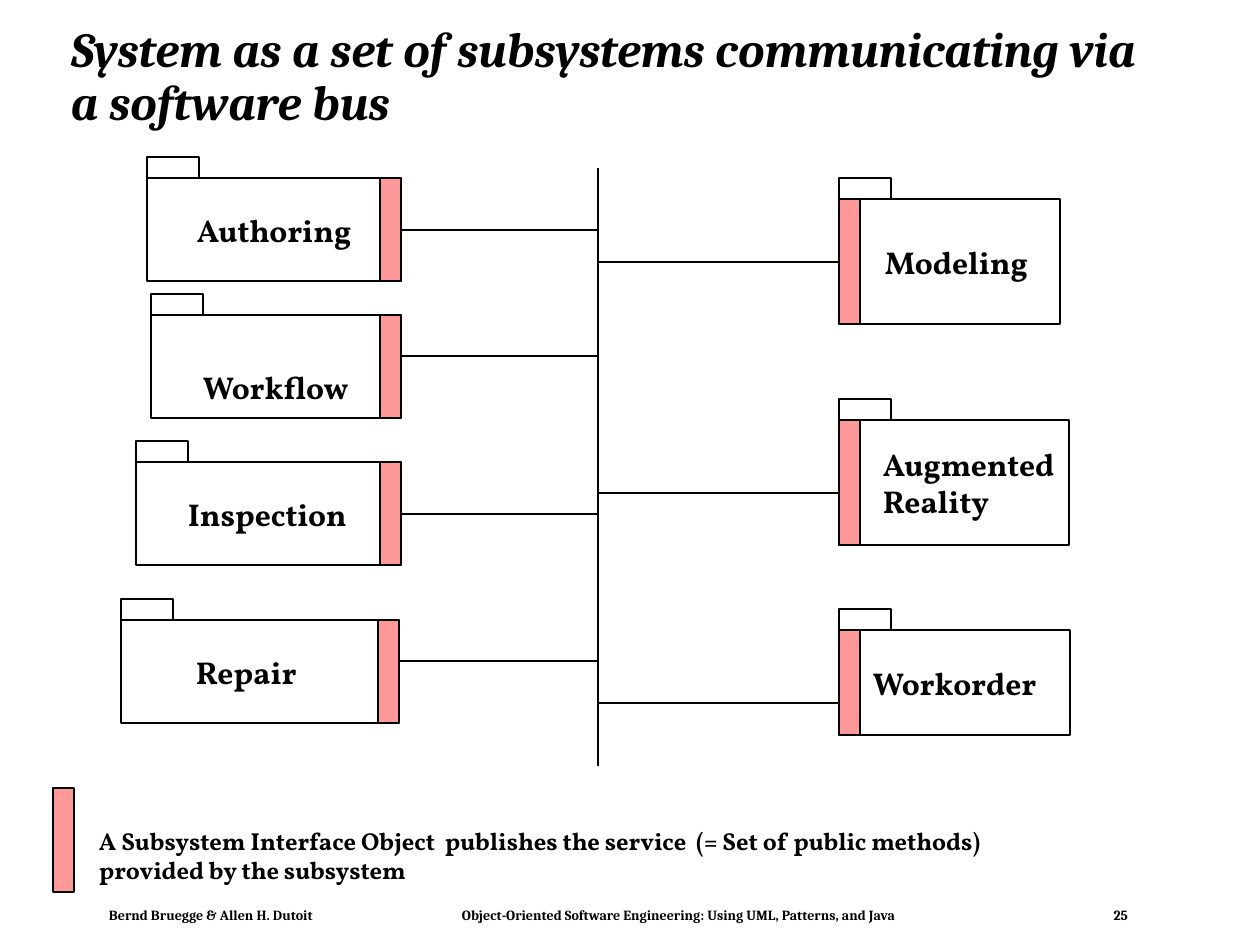
from dataclasses import dataclass

from lxml import etree
from pptx import Presentation
from pptx import util as u
from pptx.dml.color import RGBColor
from pptx.enum import shapes, text
from pptx.oxml import ns


@dataclass(frozen=True)
class Theme:
    """Colours, fonts and type sizes of the slide."""
    ink: str = "000000"
    paper: str = "FFFFFF"
    interface: str = "FF9999"
    head_font: str = "Cambria"
    body_font: str = "Vollkorn"
    title: int = 28
    label: int = 18
    legend: int = 14
    footer: int = 8
    line: int = 1


T = Theme()
ALIGN = text.PP_ALIGN
ANCHOR = text.MSO_ANCHOR
BAR_W, TAB_W, TAB_H = 21, 52, 21


def px(n):
    """Turn picture pixels (126 to the inch) into EMU."""
    return u.Emu(round(n * 914400 / 126))


def write(sp, content, size, font=T.body_font, italic=False, align=ALIGN.LEFT,
          anchor=ANCHOR.MIDDLE, inset=(0, 0, 0, 0), spacing=None):
    """Write bold text into a shape, one paragraph per line."""
    tf = sp.text_frame
    tf.word_wrap = True
    tf.vertical_anchor = anchor
    tf.margin_left, tf.margin_top, tf.margin_right, tf.margin_bottom = map(px, inset)
    for i, line in enumerate(content.split("\n")):
        p = tf.add_paragraph() if i else tf.paragraphs[0]
        p.alignment = align
        if spacing:
            p.line_spacing = spacing
        r = p.add_run()
        r.text = line
        r.font.size, r.font.name = u.Pt(size), font
        r.font.bold, r.font.italic = True, italic
        r.font.color.rgb = RGBColor.from_string(T.ink)


def textbox(s, box, content, size, **fmt):
    """Add a text box at box (left, top, width, height)."""
    write(s.shapes.add_textbox(*map(px, box)), content, size, **fmt)


def rect(s, box, fill=T.paper):
    """Add an outlined rectangle."""
    sp = s.shapes.add_shape(shapes.MSO_SHAPE.RECTANGLE, *map(px, box))
    sp.shadow.inherit = False
    sp.fill.solid()
    sp.fill.fore_color.rgb = RGBColor.from_string(fill)
    sp.line.color.rgb = RGBColor.from_string(T.ink)
    sp.line.width = u.Pt(T.line)
    return sp


def connect(s, x1, y1, x2, y2):
    """Add a plain straight line."""
    c = s.shapes.add_connector(shapes.MSO_CONNECTOR.STRAIGHT, *map(px, (x1, y1, x2, y2)))
    c.line.color.rgb = RGBColor.from_string(T.ink)
    c.line.width = u.Pt(T.line)
    etree.SubElement(c._element.spPr, ns.qn("a:effectLst"))


def package(s, box, label, indent, drop, link, bus_x, bar_right):
    """Draw a subsystem package with its interface bar and its link to the bus."""
    x, y, w, h = box
    bar_x = x + w - BAR_W if bar_right else x
    body = rect(s, box)
    write(body, label, T.label, inset=(indent, drop, 0, 0))
    rect(s, (bar_x, y, BAR_W, h), T.interface)
    rect(s, (x, y - TAB_H, TAB_W, TAB_H))
    connect(s, x + w if bar_right else x, y + link, bus_x, y + link)


def diagram(s, box):
    """Draw the software bus and the packages on both sides of it."""
    x, y, w, h = box
    bus_x = x + 478
    connect(s, bus_x, y + 11, bus_x, y + h)
    # left, top, width, label, text indent, text drop, link height
    for left, top, width, label, indent, drop, link in (
            (27, 21, 254, "Authoring", 50, 0, 52),
            (31, 158, 250, "Workflow", 52, 40, 41),
            (16, 305, 265, "Inspection", 52, 0, 52),
            (1, 463, 278, "Repair", 75, 0, 41)):
        package(s, (x + left, y + top, width, 103), label, indent, drop, link, bus_x, True)
    # top, width, height, label, text indent, link height
    for top, width, height, label, indent, link in (
            (42, 221, 125, "Modeling", 46, 63),
            (263, 230, 125, "Augmented\nReality", 44, 73),
            (473, 231, 105, "Workorder", 34, 73)):
        package(s, (x + 719, y + top, width, height), label, indent, 0, link, bus_x, False)


def legend(s, box):
    """Explain the interface bar."""
    x, y, w, h = box
    rect(s, (x, y, BAR_W, h), T.interface)
    textbox(s, (x + 33, y + 32, w - 33, 72),
            "A Subsystem Interface Object  publishes the service  (= Set of public methods)\n"
            "provided by the subsystem",
            T.legend, anchor=ANCHOR.TOP, inset=(13, 6, 13, 6))


def footer(s, box):
    """Place authors, book title and page number along one line."""
    x, y, w, h = box
    for left, width, content, align in (
            (0, 300, "Bernd Bruegge & Allen H. Dutoit", ALIGN.LEFT),
            (320, 500, "Object-Oriented Software Engineering: Using UML, Patterns, and Java",
             ALIGN.CENTER),
            (w - 60, 60, "25", ALIGN.RIGHT)):
        textbox(s, (x + left, y, width, h), content, T.footer, font=T.head_font, align=align)


prs = Presentation()
prs.slide_width, prs.slide_height = px(1260), px(945)
s = prs.slides.add_slide(prs.slide_layouts[6])
textbox(s, (58, 30, 1124, 97), "System as a set of subsystems communicating via a software bus",
        T.title, font=T.head_font, italic=True, spacing=0.9, inset=(13, 6, 13, 6))
diagram(s, (120, 157, 951, 609))
legend(s, (53, 788, 980, 104))
footer(s, (109, 901, 1019, 27))
prs.save("out.pptx")
